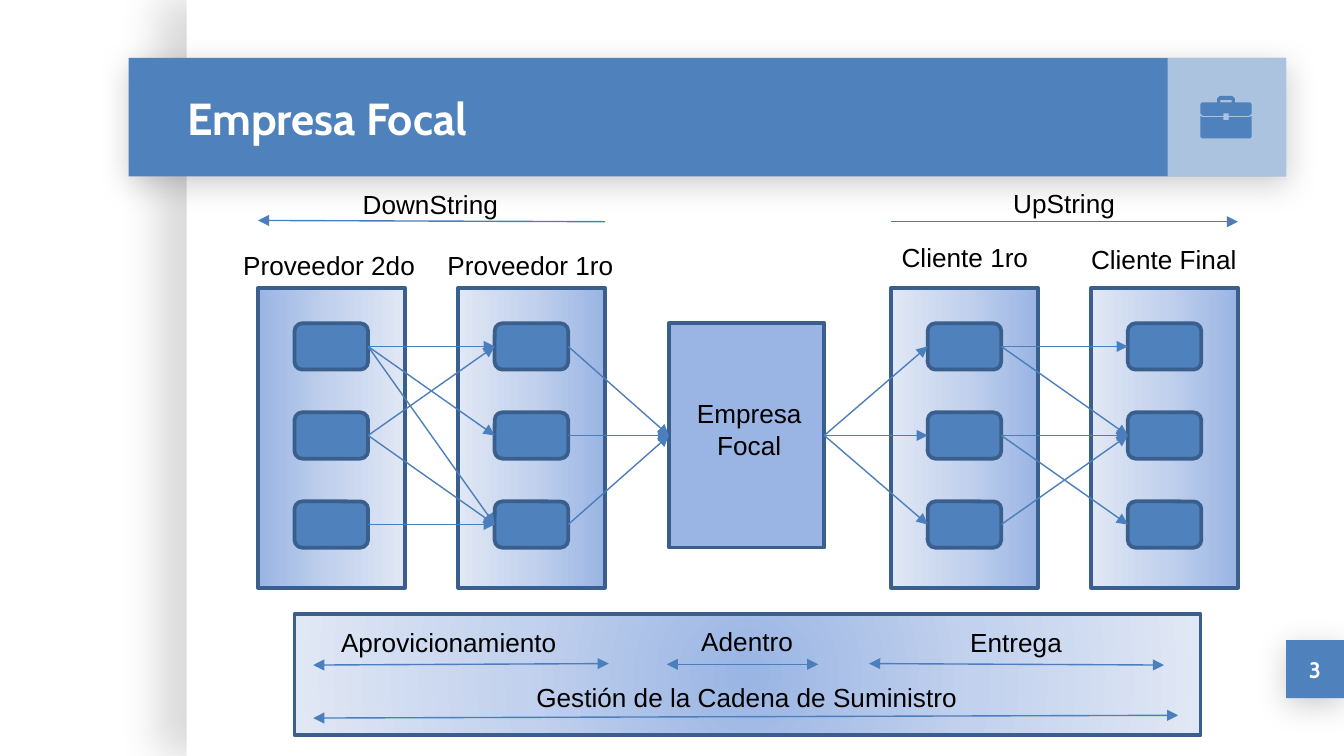
from lxml import etree
from pptx import Presentation
from pptx.dml.color import RGBColor
from pptx.enum.shapes import MSO_CONNECTOR, MSO_SHAPE
from pptx.enum.text import MSO_ANCHOR, MSO_AUTO_SIZE, PP_ALIGN
from pptx.oxml import parse_xml
from pptx.oxml.ns import qn
from pptx.util import Pt

RECTANGLE, ROUNDED = MSO_SHAPE.RECTANGLE, MSO_SHAPE.ROUNDED_RECTANGLE
STRAIGHT = MSO_CONNECTOR.STRAIGHT
MIDDLE = MSO_ANCHOR.MIDDLE
LEFT, CENTER = PP_ALIGN.LEFT, PP_ALIGN.CENTER
FIT_SHAPE, NO_FIT = MSO_AUTO_SIZE.SHAPE_TO_FIT_TEXT, MSO_AUTO_SIZE.NONE
LEFT_SIDE, RIGHT_SIDE = 1, 3

COLORS = {
    "blue": "4F81BD", "outline": "3A5F8C", "arrow": "4B7EBC",
    "dark": "9AB5E4", "mid": "C2D1ED", "pale": "E1E8F5",
    "white": "FFFFFF", "black": "000000",
}
NAMESPACE = "http://schemas.openxmlformats.org/drawingml/2006/main"
LINEAR = '<a:lin ang="0" scaled="0"/>'
RADIAL = ('<a:path path="circle"><a:fillToRect l="50000" t="50000" '
          'r="50000" b="50000"/></a:path>')


def color(name):
    return RGBColor.from_string(COLORS[name])


def add_box(slide, box, fill, outlined=False, kind=RECTANGLE):
    shape = slide.shapes.add_shape(kind, *map(Pt, box))
    shape.shadow.inherit = False
    shape.fill.solid()
    shape.fill.fore_color.rgb = color(fill)
    if outlined:
        shape.line.color.rgb = color("outline")
        shape.line.width = Pt(2)
    else:
        shape.line.fill.background()
    return shape


def add_shadow(shape, opacity, blur, distance, angle):
    effects = shape.element.spPr.find(qn("a:effectLst"))
    effects.append(parse_xml(
        f'<a:outerShdw xmlns:a="{NAMESPACE}" blurRad="{Pt(blur)}" dist="{Pt(distance)}" '
        f'dir="{angle * 60000}" algn="bl" rotWithShape="0"><a:srgbClr val="000000">'
        f'<a:alpha val="{opacity * 1000}"/></a:srgbClr></a:outerShdw>'))


def set_gradient(shape, direction):
    stops = "".join(
        f'<a:gs pos="{position}"><a:srgbClr val="{COLORS[name]}"/></a:gs>'
        for position, name in ((0, "dark"), (50000, "mid"), (100000, "pale")))
    properties = shape.element.spPr
    properties.replace(properties.find(qn("a:solidFill")), parse_xml(
        f'<a:gradFill xmlns:a="{NAMESPACE}" rotWithShape="1">'
        f'<a:gsLst>{stops}</a:gsLst>{direction}</a:gradFill>'))


def add_arrow(slide, start, end, both=False):
    arrow = slide.shapes.add_connector(STRAIGHT, *map(Pt, (*start, *end)))
    arrow.line.color.rgb = color("arrow")
    arrow.line.width = Pt(0.75)
    outline = arrow.line._get_or_add_ln()
    for tag in ("a:headEnd", "a:tailEnd") if both else ("a:tailEnd",):
        etree.SubElement(outline, qn(tag)).set("type", "triangle")
    etree.SubElement(arrow.element.spPr, qn("a:effectLst"))
    return arrow


def link(slide, source, target):
    arrow = add_arrow(slide, (0, 0), (0, 0))
    arrow.begin_connect(source, RIGHT_SIDE)
    arrow.end_connect(target, LEFT_SIDE)


def write(frame, text, size, font, tint, align):
    frame.text = text
    paragraph = frame.paragraphs[0]
    paragraph.alignment = align
    paragraph.font.size = Pt(size)
    paragraph.font.name = font
    paragraph.font.bold = font == "Cabin"
    paragraph.font.color.rgb = color(tint)


def add_label(slide, text, box, wrap=False):
    frame = slide.shapes.add_textbox(*map(Pt, box)).text_frame
    frame.word_wrap = wrap
    frame.auto_size = FIT_SHAPE
    write(frame, text, 14, "Arial", "black", CENTER if wrap else LEFT)


def add_outline(group, origin, *contours):
    left, top = origin
    points = [[(Pt(left + x), Pt(top + y)) for x, y in contour] for contour in contours]
    builder = group.shapes.build_freeform(*points[0][0], scale=1.0)
    builder.add_line_segments(points[0][1:], close=True)
    for contour in points[1:]:
        builder.move_to(*contour[0])
        builder.add_line_segments(contour[1:], close=True)
    shape = builder.convert_to_shape()
    shape.shadow.inherit = False
    shape.fill.solid()
    shape.fill.fore_color.rgb = color("blue")
    shape.line.fill.background()


def add_briefcase(slide, origin):
    group = slide.shapes.add_group_shape()
    lid = [(8.9, 3.6), (8.9, 1.5), (10.4, 0), (17, 0), (18.5, 1.5), (18.5, 3.6),
           (26.6, 3.6), (27.4, 4.4), (27.4, 9.5), (26, 10.8), (15.1, 10.8), (15.1, 9.4),
           (12.3, 9.4), (12.3, 10.8), (1.4, 10.8), (0, 9.5), (0, 4.4), (0.8, 3.6)]
    handle = [(10.7, 3.6), (10.7, 2.2), (16.7, 2.2), (16.7, 3.6)]
    case = [(0, 10.8), (1.4, 11.5), (12.3, 11.5), (12.3, 13), (15.1, 13), (15.1, 11.5),
            (26, 11.5), (27.4, 10.8), (27.4, 22), (26.6, 22.8), (0.8, 22.8), (0, 22)]
    add_outline(group, origin, lid, handle)
    add_outline(group, origin, case)


def add_header(slide, box):
    left, top, width, height = box
    add_shadow(add_box(slide, box, "blue"), 20, 16.9, 3.8, 90)
    tile_left = left + width - height
    tile = add_box(slide, (tile_left, top, height, height), "white")
    tint = tile.element.spPr.find(qn("a:solidFill"))[0]
    etree.SubElement(tint, qn("a:alpha")).set("val", "53000")
    title = slide.shapes.title
    slide.shapes.element.append(title.element)
    title.left, title.top = Pt(left + 24), Pt(top)
    title.width, title.height = Pt(530.6), Pt(height)
    frame = title.text_frame
    frame.margin_left = frame.margin_right = Pt(7.2)
    frame.margin_top = frame.margin_bottom = Pt(7.2)
    frame.vertical_anchor = MIDDLE
    frame.auto_size = NO_FIT
    write(frame, "Empresa Focal", 24, "Cabin", "white", LEFT)
    add_briefcase(slide, (tile_left + 17.6, top + 20.3))


def add_page_number(slide, box):
    shape = add_box(slide, box, "blue")
    add_shadow(shape, 20, 16.9, 3.8, 90)
    shape.text_frame.vertical_anchor = MIDDLE
    write(shape.text_frame, "3", 12, "Cabin", "white", CENTER)


def add_tier(slide, box, turned):
    left, top, width, height = box
    column = add_box(slide, box, "dark", outlined=True)
    set_gradient(column, LINEAR)
    column.rotation = 180 if turned else 0
    node_width, node_height, step = 39.4, 24.8, 47.7
    return [add_box(slide, (left + (width - node_width) / 2, top + 19 + row * step,
                            node_width, node_height), "blue", True, ROUNDED)
            for row in range(3)]


def add_chain(slide, box):
    left, top, width, height = box
    tier_width = 78.6
    offsets = (0, 107.2, 339.2, width - tier_width)
    suppliers_2, suppliers_1, clients_1, clients_final = [
        add_tier(slide, (left + offset, top, tier_width, height), turned=offset > 0)
        for offset in offsets]
    focal = add_box(slide, (left + 220.2, top + 19, 83.2, 120.2), "dark", True)
    for source, target in ((0, 0), (0, 1), (0, 2), (1, 0), (1, 2), (2, 2)):
        link(slide, suppliers_2[source], suppliers_1[target])
    for supplier in suppliers_1:
        link(slide, supplier, focal)
    for client in clients_1:
        link(slide, focal, client)
    for source, target in ((0, 0), (1, 1), (2, 1), (1, 2), (0, 1)):
        link(slide, clients_1[source], clients_final[target])
    add_label(slide, "Empresa Focal", (left + 224.7, top + 55.4, 77, 41), wrap=True)
    arrow_y = top - 35.4
    add_arrow(slide, (left + 186, arrow_y), (left, arrow_y - 0.7))
    add_arrow(slide, (left + 339.2, arrow_y), (left + width, arrow_y))
    for text, x, y, label_width in (
            ("DownString", 49, -57, 87.8), ("UpString", 397.5, -57.6, 69),
            ("Proveedor 2do", -15, -24.2, 107.3), ("Proveedor 1ro", 94.4, -24.2, 103.7),
            ("Cliente 1ro", 337.7, -28.4, 82.8), ("Cliente Final", 439.2, -27.4, 92.9)):
        add_label(slide, text, (left + x, top + y, label_width, 24.2))


def add_management_band(slide, box):
    left, top, width, height = box
    set_gradient(add_box(slide, box, "dark", outlined=True), RADIAL)
    for text, x, y, label_width, start, end in (
            ("Aprovicionamiento", 17.8, 3.2, 130.3, (10, 27.4), (168.3, 26.6)),
            ("Adentro", 210.8, 2.6, 64, (199.4, 27), (280.6, 27)),
            ("Entrega", 354.9, 3.2, 64, (307.8, 26.6), (465.8, 27.4)),
            ("Gestión de la Cadena de Suministro", 122.4, 32.5, 241.2,
             (10, 55.8), (473.4, 54.3))):
        add_label(slide, text, (left + x, top + y, label_width, 24.2))
        add_arrow(slide, (left + start[0], top + start[1]),
                  (left + end[0], top + end[1]), both=True)


def main():
    presentation = Presentation()
    presentation.slide_width, presentation.slide_height = Pt(720), Pt(405)
    slide = presentation.slides.add_slide(presentation.slide_layouts[5])
    add_shadow(add_box(slide, (100, 0, 620, 405), "white"), 15, 22.5, 15, 180)
    add_header(slide, (69, 31, 620, 63.5))
    add_page_number(slide, (689, 343, 31, 31))
    add_chain(slide, (138.2, 154.2, 525, 160.7))
    add_management_band(slide, (157.8, 328.9, 485.4, 65))
    presentation.save("out.pptx")


if __name__ == "__main__":
    main()
